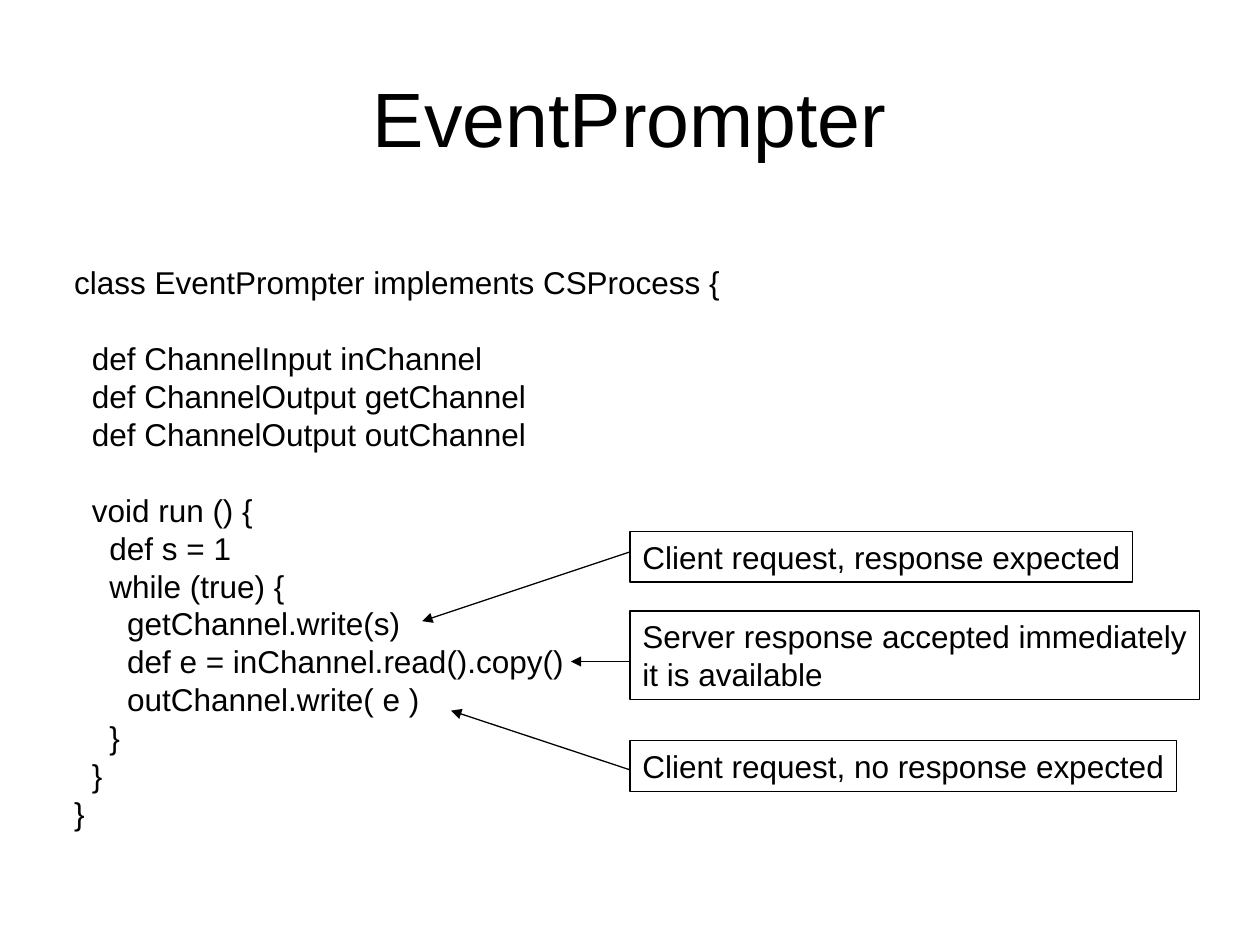
"""Build the EventPrompter code slide with its three annotated calls."""
from dataclasses import dataclass
from typing import Any

from lxml import etree
from pptx import Presentation
from pptx.dml.color import RGBColor
from pptx.enum.shapes import MSO_CONNECTOR
from pptx.enum.text import MSO_ANCHOR, MSO_AUTO_SIZE, PP_ALIGN
from pptx.oxml.ns import qn
from pptx.util import Inches, Pt

STRAIGHT = MSO_CONNECTOR.STRAIGHT
TOP, MIDDLE = MSO_ANCHOR.TOP, MSO_ANCHOR.MIDDLE
FIXED = MSO_AUTO_SIZE.NONE
LEFT, CENTER = PP_ALIGN.LEFT, PP_ALIGN.CENTER
BLACK = RGBColor(0, 0, 0)
FONT = "Arial"
BODY_SIZE = 18
BODY_PITCH = 21.65
INDENT_STEP = Inches(0.14)
LINE_WIDTH = Pt(0.74)
CALLOUT_LEFT = 5.0
ARROW_START = 5.0


@dataclass(frozen=True)
class Line:
    text: str
    level: int = 0
    blank_above: bool = False


@dataclass(frozen=True)
class Callout:
    lines: tuple[Line, ...]
    top: float
    width: float
    height: float
    arrow_y: float
    target: tuple[float, float]


CODE = (
    Line("class EventPrompter implements CSProcess {"),
    Line("def ChannelInput inChannel", 1, True),
    Line("def ChannelOutput getChannel", 1),
    Line("def ChannelOutput outChannel", 1),
    Line("void run () {", 1, True),
    Line("def s = 1", 2),
    Line("while (true) {", 2),
    Line("getChannel.write(s)", 3),
    Line("def e = inChannel.read().copy()", 3),
    Line("outChannel.write( e )", 3),
    Line("}", 2),
    Line("}", 1),
    Line("}"),
)

CALLOUTS = (
    Callout((Line("Client request, no response expected"),),
            5.88, 4.34, 0.4, 6.11, (3.58, 5.64)),
    Callout((Line("Client request, response expected"),),
            4.22, 3.99, 0.4, 4.38, (3.35, 4.93)),
    Callout((Line("Server response accepted immediately"), Line("it is available")),
            4.85, 4.52, 0.7, 5.25, (4.53, 5.25)),
)


def add_text(shapes: Any, lines: tuple[Line, ...], left: float, top: float,
             width: float, height: float, *, size: float = BODY_SIZE,
             pitch: float = BODY_PITCH, align: PP_ALIGN = LEFT,
             anchor: MSO_ANCHOR = TOP, right_inset: float = 0.02) -> Any:
    box = shapes.add_textbox(Inches(left), Inches(top), Inches(width), Inches(height))
    frame = box.text_frame
    frame.word_wrap = True
    frame.auto_size = FIXED
    frame.vertical_anchor = anchor
    frame.margin_right = Inches(right_inset)
    for index, line in enumerate(lines):
        paragraph = frame.add_paragraph() if index else frame.paragraphs[0]
        paragraph.alignment = align
        paragraph.line_spacing = Pt(pitch)
        if line.blank_above:
            paragraph.space_before = Pt(pitch)
        if line.level:
            properties = paragraph._p.get_or_add_pPr()
            properties.set("marL", str(line.level * INDENT_STEP))
        run = paragraph.add_run()
        run.text = line.text
        run.font.name = FONT
        run.font.size = Pt(size)
        run.font.color.rgb = BLACK
    return box


def add_arrow(shapes: Any, start: tuple[float, float], end: tuple[float, float]) -> None:
    arrow = shapes.add_connector(STRAIGHT, *(Inches(value) for value in start + end))
    arrow.line.color.rgb = BLACK
    arrow.line.width = LINE_WIDTH
    properties = arrow._element.spPr
    etree.SubElement(properties.find(qn("a:ln")), qn("a:tailEnd"), type="triangle")
    etree.SubElement(properties, qn("a:effectLst"))


def add_callout(shapes: Any, callout: Callout) -> None:
    members = shapes.add_group_shape().shapes
    box = add_text(members, callout.lines, CALLOUT_LEFT, callout.top,
                   callout.width, callout.height)
    box.line.color.rgb = BLACK
    box.line.width = LINE_WIDTH
    add_arrow(members, (ARROW_START, callout.arrow_y), callout.target)


def main() -> None:
    deck = Presentation()
    deck.slide_width, deck.slide_height = Inches(10), Inches(7.5)
    shapes = deck.slides.add_slide(deck.slide_layouts[6]).shapes
    add_text(shapes, (Line("EventPrompter"),), 0.5, 0.3, 9, 1.25, size=44, pitch=53,
             align=CENTER, anchor=MIDDLE, right_inset=0.1)
    add_text(shapes, CODE, 0.49, 2.04, 5.32, 4.6)
    for callout in CALLOUTS:
        add_callout(shapes, callout)
    deck.save("out.pptx")


main()
